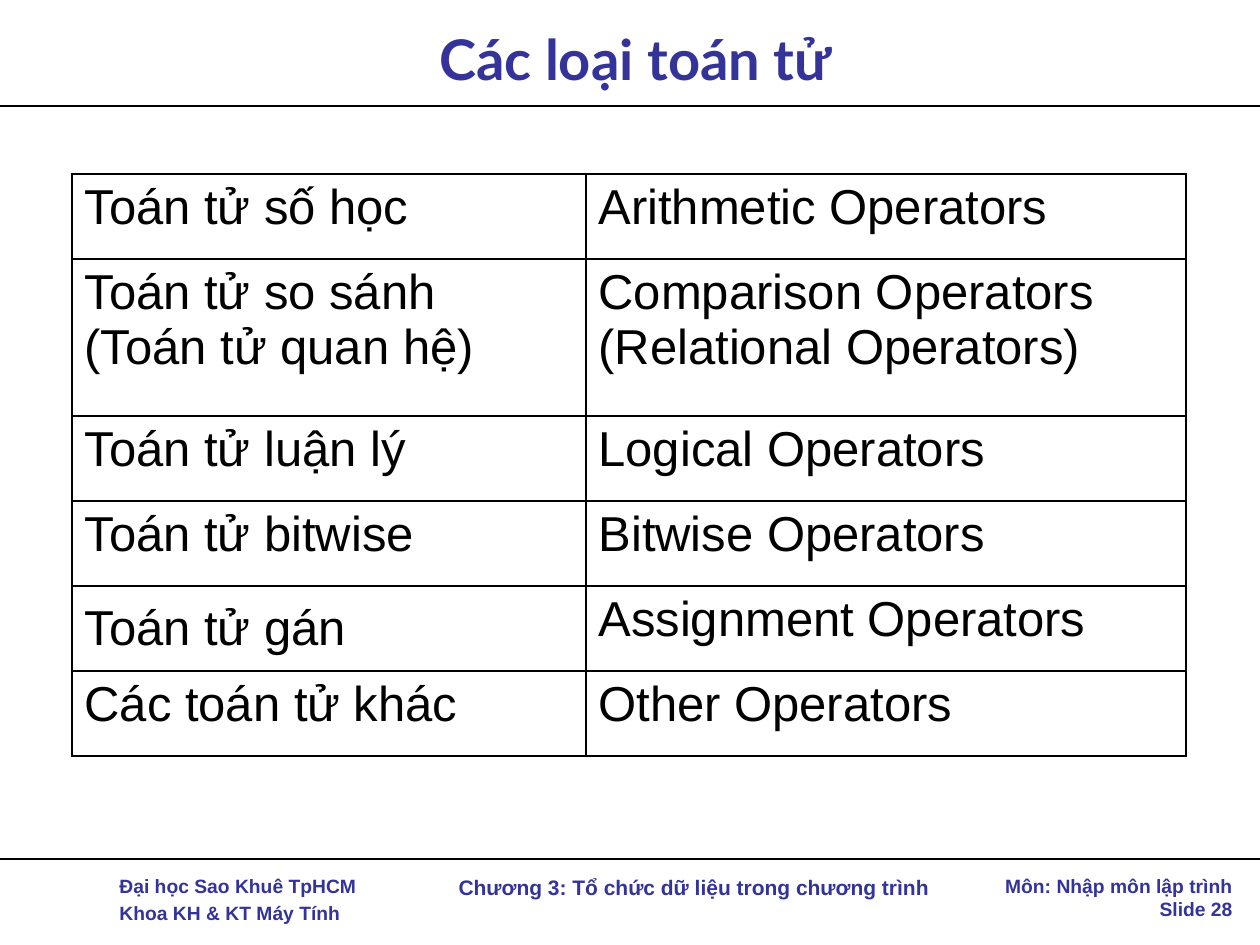
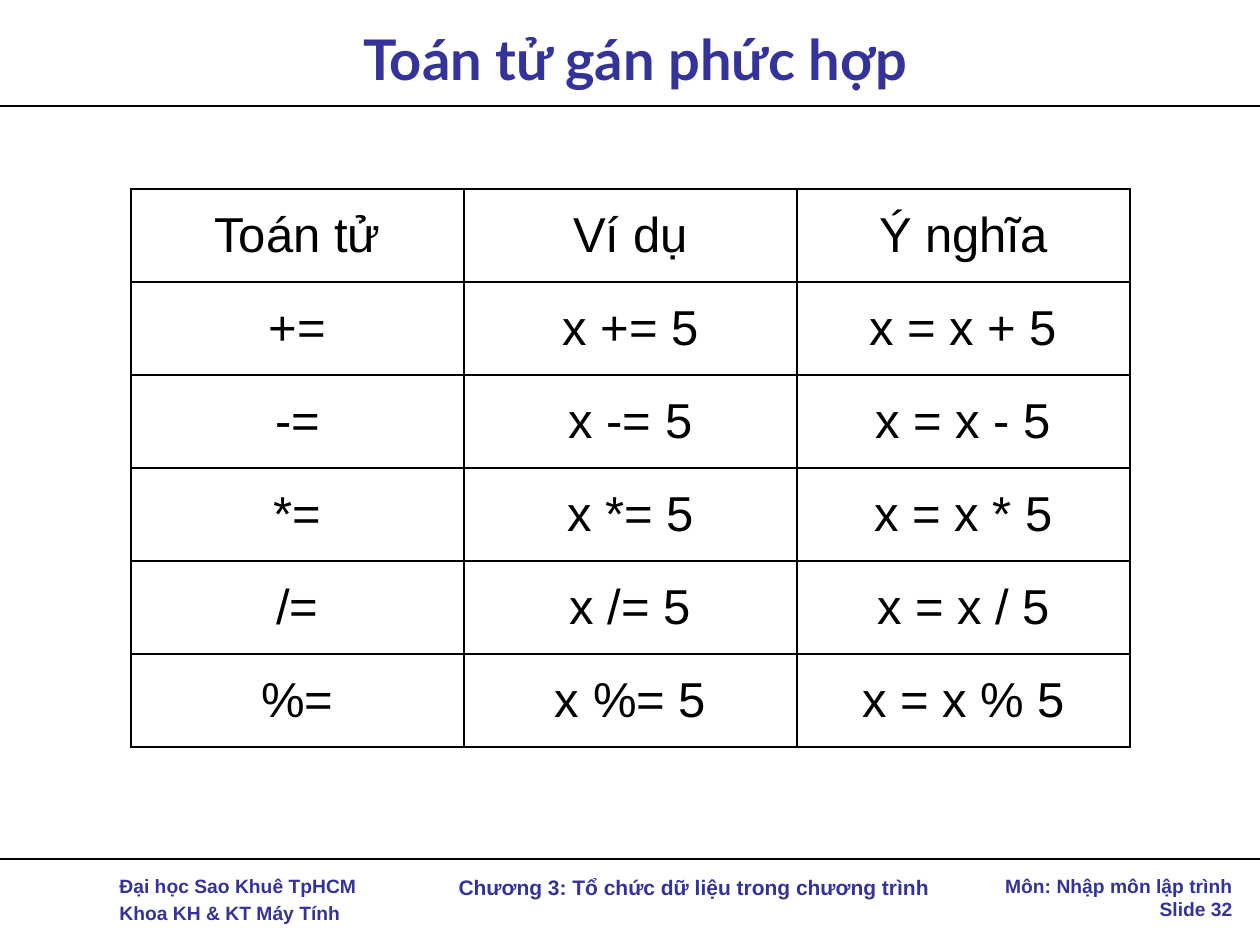
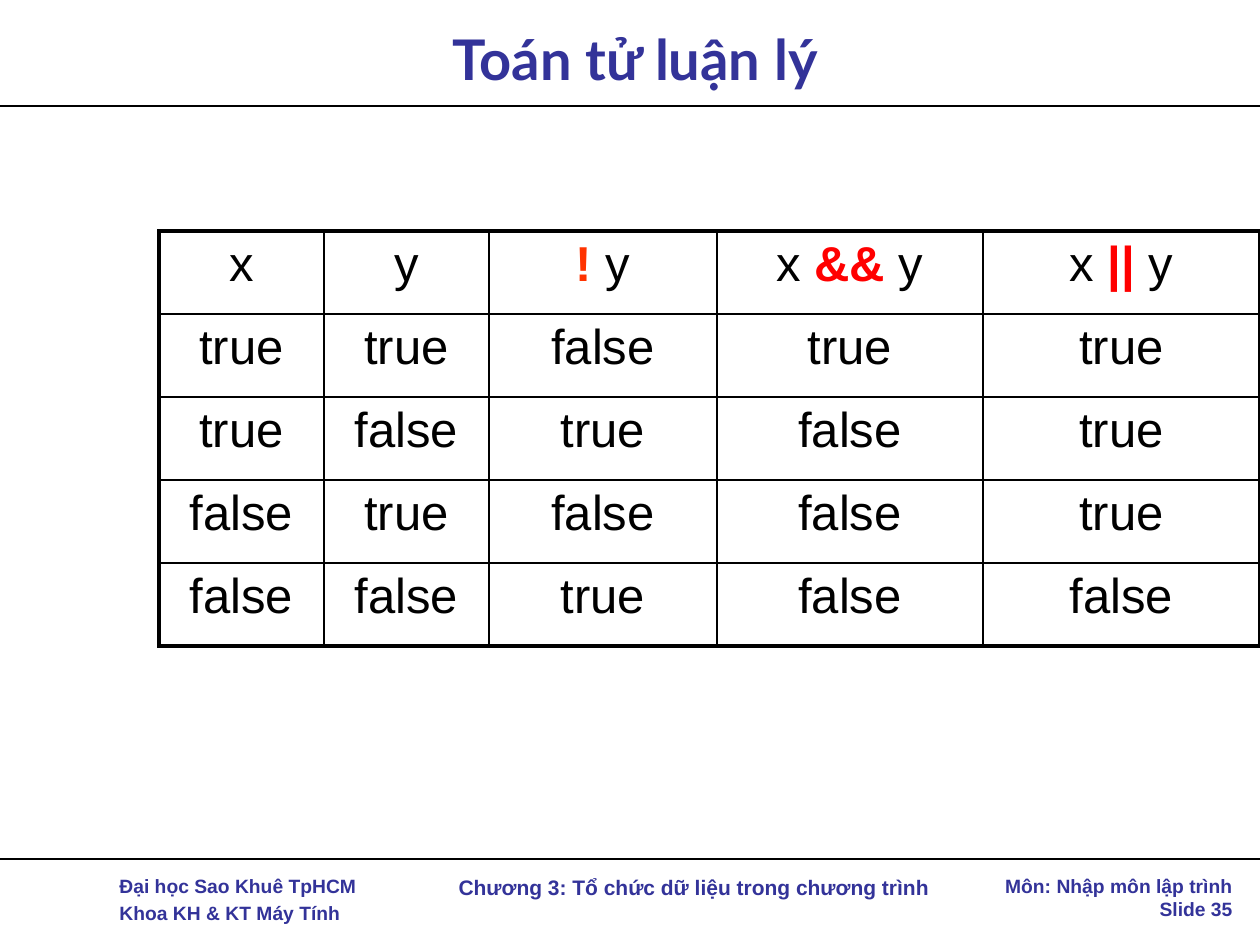
from dataclasses import dataclass
from typing import NamedTuple

import lxml.etree
import pptx
import pptx.dml.color
import pptx.enum.text
import pptx.oxml.ns
import pptx.slide
import pptx.table
import pptx.text.text
import pptx.util

PX_PER_INCH = 126
SLIDE_WIDTH, SLIDE_HEIGHT = 1260, 945

INDIGO = "333399"
BLACK = "000000"
RED = "FF0000"
ORANGE_RED = "FF3300"
BODY_FONT = "Arial"
TITLE_FONT = "Lato"
THIN, THICK = 1, 2.25

LEFT = pptx.enum.text.PP_ALIGN.LEFT
CENTER = pptx.enum.text.PP_ALIGN.CENTER
RIGHT = pptx.enum.text.PP_ALIGN.RIGHT
TOP = pptx.enum.text.MSO_ANCHOR.TOP
MIDDLE = pptx.enum.text.MSO_ANCHOR.MIDDLE


class Box(NamedTuple):
    left: int
    top: int
    width: int
    height: int


class TextStyle(NamedTuple):
    size: int
    hex_color: str = INDIGO
    font: str = BODY_FONT
    bold: bool = True


TITLE_STYLE = TextStyle(32, font=TITLE_FONT)
FOOTER_STYLE = TextStyle(11)
CHAPTER_STYLE = TextStyle(12)
CELL_STYLE = TextStyle(28, BLACK, bold=False)


@dataclass(frozen=True)
class Label:
    text: str
    box: Box
    style: TextStyle
    align: pptx.enum.text.PP_ALIGN = CENTER
    anchor: pptx.enum.text.MSO_ANCHOR = TOP
    paragraph_gap: float = 0


@dataclass(frozen=True)
class MarkedCell:
    """Cell text whose operator stands out in bold colour."""
    before: str
    operator: str
    after: str
    hex_color: str = RED


@dataclass(frozen=True)
class OperatorTable:
    left: int
    top: int
    columns: list[int]
    row_heights: list[int]
    rows: list[list[str | MarkedCell]]
    align: pptx.enum.text.PP_ALIGN = CENTER
    anchor: pptx.enum.text.MSO_ANCHOR = TOP
    middle_cells: frozenset[tuple[int, int]] = frozenset()
    frame_width: float = THIN


@dataclass(frozen=True)
class Lesson:
    number: int
    title: str
    operators: OperatorTable


LESSONS = [
    Lesson(28, "Các loại toán tử", OperatorTable(
        72, 174, [514, 600], [85, 157, 85, 85, 85, 85],
        [
            ["Toán tử số học", "Arithmetic Operators"],
            ["Toán tử so sánh\n(Toán tử quan hệ)",
             "Comparison Operators\n(Relational Operators)"],
            ["Toán tử luận lý", "Logical Operators"],
            ["Toán tử bitwise", "Bitwise Operators"],
            ["Toán tử gán", "Assignment Operators"],
            ["Các toán tử khác", "Other Operators"],
        ],
        align=LEFT, middle_cells=frozenset({(4, 0)}))),
    Lesson(32, "Toán tử gán phức hợp", OperatorTable(
        131, 189, [333] * 3, [93] * 6,
        [["Toán tử", "Ví dụ", "Ý nghĩa"]]
        + [[f"{sign}=", f"x {sign}= 5", f"x = x {sign} 5"] for sign in "+-*/%"],
        anchor=MIDDLE)),
    Lesson(35, "Toán tử luận lý", OperatorTable(
        159, 231, [165, 165, 228, 266, 277], [83] * 5,
        [
            ["x", "y", MarkedCell("", "! ", "y", ORANGE_RED),
             MarkedCell("x ", "&&", " y"), MarkedCell("x ", "||", " y")],
            ["true", "true", "false", "true", "true"],
            ["true", "false", "true", "false", "true"],
            ["false", "true", "false", "false", "true"],
            ["false", "false", "true", "false", "false"],
        ],
        frame_width=THICK)),
]


def px(length: int) -> pptx.util.Emu:
    return pptx.util.Emu(round(length * 914400 / PX_PER_INCH))


def rgb(hex_color: str) -> pptx.dml.color.RGBColor:
    return pptx.dml.color.RGBColor.from_string(hex_color)


def format_run(run: pptx.text.text._Run, style: TextStyle) -> None:
    run.font.name = style.font
    run.font.size = pptx.util.Pt(style.size)
    run.font.bold = style.bold
    run.font.color.rgb = rgb(style.hex_color)


def format_text(frame: pptx.text.text.TextFrame, style: TextStyle,
                align: pptx.enum.text.PP_ALIGN) -> None:
    for paragraph in frame.paragraphs:
        paragraph.alignment = align
        for run in paragraph.runs:
            format_run(run, style)


def add_label(slide: pptx.slide.Slide, label: Label) -> None:
    frame = slide.shapes.add_textbox(*map(px, label.box)).text_frame
    frame.word_wrap = True
    frame.vertical_anchor = label.anchor
    frame.text = label.text
    format_text(frame, label.style, label.align)
    for paragraph in frame.paragraphs[1:]:
        paragraph.space_before = pptx.util.Pt(label.paragraph_gap)


def add_rule(slide: pptx.slide.Slide, y: int) -> None:
    """Draw a thin line across the whole slide."""
    rule = slide.shapes.add_connector(
        pptx.enum.shapes.MSO_CONNECTOR.STRAIGHT, 0, px(y), px(SLIDE_WIDTH), px(y))
    rule.line.color.rgb = rgb(BLACK)
    rule.line.width = pptx.util.Pt(THIN)
    lxml.etree.SubElement(rule._element.spPr, pptx.oxml.ns.qn("a:effectLst"))


def add_frame(slide: pptx.slide.Slide, lesson: Lesson) -> None:
    """Add the title, the two rules and the footer."""
    for y in (859, 106):
        add_rule(slide, y)
    for label in (
        Label("Đại học Sao Khuê TpHCM\nKhoa KH & KT Máy Tính",
              Box(107, 868, 294, 64), FOOTER_STYLE, LEFT, paragraph_gap=2.2),
        Label(f"Môn: Nhập môn lập trình\nSlide {lesson.number}",
              Box(987, 868, 258, 59), FOOTER_STYLE, RIGHT),
        Label("Chương 3: Tổ chức dữ liệu trong chương trình",
              Box(401, 868, 586, 38), CHAPTER_STYLE),
        Label(lesson.title, Box(42, 10, 1187, 96), TITLE_STYLE, anchor=MIDDLE),
    ):
        add_label(slide, label)


def set_borders(cell: pptx.table._Cell, widths: dict[str, float]) -> None:
    properties = cell._tc.get_or_add_tcPr()
    for position, (side, width) in enumerate(widths.items()):
        border = lxml.etree.Element(pptx.oxml.ns.qn(f"a:ln{side}"),
                                    w=str(pptx.util.Pt(width)))
        fill = lxml.etree.SubElement(border, pptx.oxml.ns.qn("a:solidFill"))
        lxml.etree.SubElement(fill, pptx.oxml.ns.qn("a:srgbClr"), val=BLACK)
        properties.insert(position, border)


def fill_cell(cell: pptx.table._Cell, content: str | MarkedCell,
              align: pptx.enum.text.PP_ALIGN) -> None:
    frame = cell.text_frame
    if isinstance(content, str):
        frame.text = content
        format_text(frame, CELL_STYLE, align)
        return
    paragraph = frame.paragraphs[0]
    paragraph.alignment = align
    marked_style = CELL_STYLE._replace(hex_color=content.hex_color, bold=True)
    for part, style in ((content.before, CELL_STYLE),
                        (content.operator, marked_style),
                        (content.after, CELL_STYLE)):
        if part:
            run = paragraph.add_run()
            run.text = part
            format_run(run, style)


def add_operators(slide: pptx.slide.Slide, operators: OperatorTable) -> None:
    last_row, last_column = len(operators.rows) - 1, len(operators.columns) - 1
    box = Box(operators.left, operators.top,
              sum(operators.columns), sum(operators.row_heights))
    table = slide.shapes.add_table(
        last_row + 1, last_column + 1, *map(px, box)).table
    table.first_row = False
    table.horz_banding = False
    for column, width in zip(table.columns, operators.columns):
        column.width = px(width)
    for row, height in zip(table.rows, operators.row_heights):
        row.height = px(height)

    def width_at(on_edge: bool) -> float:
        return operators.frame_width if on_edge else THIN

    for r, contents in enumerate(operators.rows):
        for c, content in enumerate(contents):
            cell = table.cell(r, c)
            fill_cell(cell, content, operators.align)
            cell.vertical_anchor = (
                MIDDLE if (r, c) in operators.middle_cells else operators.anchor)
            cell.fill.background()
            set_borders(cell, {"L": width_at(c == 0),
                               "R": width_at(c == last_column),
                               "T": width_at(r == 0),
                               "B": width_at(r == last_row)})


def main() -> None:
    deck = pptx.Presentation()
    deck.slide_width, deck.slide_height = px(SLIDE_WIDTH), px(SLIDE_HEIGHT)
    blank = deck.slide_layouts[6]
    for lesson in LESSONS:
        slide = deck.slides.add_slide(blank)
        add_frame(slide, lesson)
        add_operators(slide, lesson.operators)
    deck.save("out.pptx")


if __name__ == "__main__":
    main()
